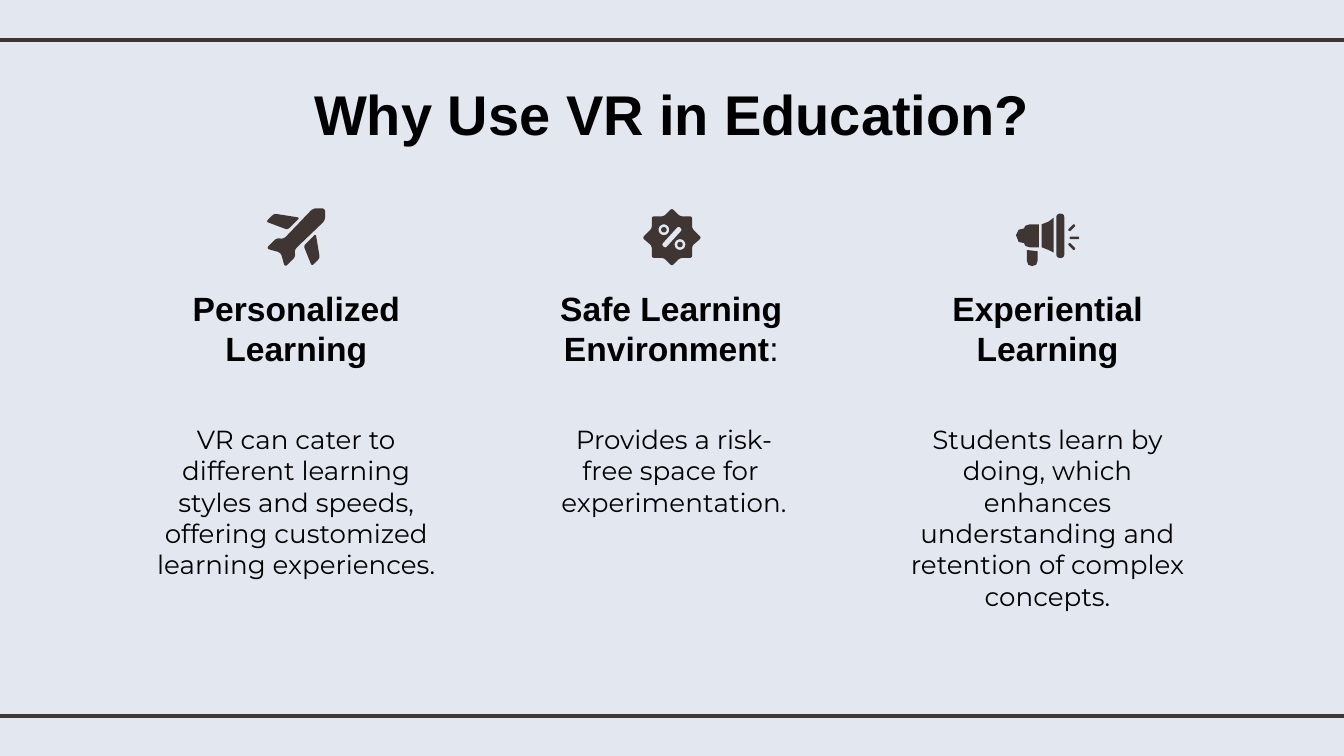
"""Build the slide on why to use VR in education."""
from dataclasses import dataclass
from math import cos, dist, hypot, pi, sin

from lxml.etree import SubElement
from pptx import Presentation
from pptx.dml.color import RGBColor
from pptx.enum.shapes import MSO_CONNECTOR as Connector
from pptx.enum.text import MSO_ANCHOR as Anchor, PP_ALIGN as Align
from pptx.oxml.ns import qn
from pptx.util import Inches, Pt

BACKGROUND, DARK, BLACK = "E3E7F0", "3F3533", "000000"
Point = tuple[float, float]
Contour = list[Point]


@dataclass
class TextStyle:
    font: str
    size: int
    bold: bool = False


@dataclass
class Benefit:
    heading: list[str]
    body: list[str]
    left: float
    heading_left: float
    heading_width: float = 2.33
    body_inset: float = 0.1


TITLE = TextStyle("Arial", 30, True)
HEADING = TextStyle("Arial", 18, True)
BODY = TextStyle("Montserrat", 14)

BENEFITS = [
    Benefit(["Personalized Learning"],
            ["VR can cater to different learning styles and speeds, "
             "offering customized learning experiences."], 1.04, 1.04),
    Benefit(["Safe Learning Environment", ":"],
            ["Provides a risk-", "free space for ", "experimentation."],
            3.79, 3.58, 2.83, 0.22),
    Benefit(["Experiential Learning"],
            ["Students learn by doing, which enhances understanding "
             "and retention of complex concepts."], 6.63, 6.63),
]


def color(value: str) -> RGBColor:
    return RGBColor.from_string(value)


def rounded(corners: Contour, radius: float) -> Contour:
    points = []
    for index, corner in enumerate(corners):
        ends = []
        for other in (corners[index - 1], corners[(index + 1) % len(corners)]):
            length = dist(corner, other)
            share = min(radius, length / 2) / length
            ends.append([a + (b - a) * share for a, b in zip(corner, other)])
        for step in range(7):
            t = step / 6
            points.append(tuple((1 - t) ** 2 * a + 2 * t * (1 - t) * c + t * t * b
                                for a, c, b in zip(ends[0], corner, ends[1])))
    return points


def circle(x: float, y: float, radius: float) -> Contour:
    angles = [pi * step / 16 for step in range(32)]
    return [(x + radius * cos(a), y + radius * sin(a)) for a in angles]


def capsule(start: Point, end: Point, radius: float = 0.01) -> Contour:
    (x1, y1), (x2, y2) = start, end
    dx, dy = x2 - x1, y2 - y1
    ux, uy = (radius * d / hypot(dx, dy) for d in (dx, dy))
    corners = [(x1 - ux - uy, y1 - uy + ux), (x1 - ux + uy, y1 - uy - ux),
               (x2 + ux + uy, y2 + uy - ux), (x2 + ux - uy, y2 + uy + ux)]
    return rounded(corners, radius)


PLANE = [
    [rounded([(2.33, 1.55), (2.42, 1.55), (2.42, 1.64), (2.19, 1.86), (2.2, 1.91),
              (2.12, 1.99), (2.09, 1.88), (1.98, 1.85), (2.06, 1.77), (2.11, 1.78)],
             0.03)],
    [rounded([(2.04, 1.59), (2.23, 1.62), (2.14, 1.71), (1.98, 1.65)], 0.02)],
    [rounded([(2.35, 1.74), (2.38, 1.92), (2.32, 1.98), (2.26, 1.83)], 0.02)],
]
BADGE = [
    [rounded([(5, 1.55), (5.06, 1.61), (5.15, 1.61), (5.15, 1.7), (5.22, 1.77),
              (5.15, 1.83), (5.15, 1.92), (5.06, 1.92), (5, 1.98), (4.94, 1.92),
              (4.85, 1.92), (4.85, 1.83), (4.78, 1.77), (4.85, 1.7), (4.85, 1.61),
              (4.94, 1.61)], 0.02),
     circle(4.94, 1.71, 0.04), circle(5.06, 1.82, 0.04),
     capsule((4.95, 1.82), (5.05, 1.71), 0.02)],
    [circle(4.94, 1.71, 0.02)],
    [circle(5.06, 1.82, 0.02)],
]
MEGAPHONE = [
    [capsule((7.97, 1.77), (8.02, 1.77))],
    [capsule((7.96, 1.82), (7.99, 1.85))],
    [capsule((7.96, 1.71), (7.99, 1.68))],
    [capsule((7.89, 1.62), (7.89, 1.89), 0.03)],
    [[(7.73, 1.67), (7.73, 1.84), (7.66, 1.84), (7.63, 1.83), (7.62, 1.81),
      (7.58, 1.8), (7.56, 1.75), (7.58, 1.71), (7.62, 1.7), (7.63, 1.68),
      (7.66, 1.67)]],
    [[(7.64, 1.86), (7.72, 1.87), (7.72, 1.94), (7.71, 1.97), (7.68, 1.98),
      (7.65, 1.97), (7.64, 1.94)]],
    [[(7.84, 1.62), (7.84, 1.88), (7.8, 1.86), (7.75, 1.84), (7.75, 1.67),
      (7.8, 1.65)]],
]


def add_outline(shapes, contours: list[Contour]) -> None:
    builder = None
    for contour in contours:
        points = [(Inches(x), Inches(y)) for x, y in contour]
        if builder is None:
            builder = shapes.build_freeform(*points[0], scale=1.0)
        else:
            builder.move_to(*points[0])
        builder.add_line_segments(points[1:], close=True)
    shape = builder.convert_to_shape()
    shape.shadow.inherit = False
    shape.fill.solid()
    shape.fill.fore_color.rgb = color(DARK)
    shape.line.fill.background()


def add_rule(page, y: float) -> None:
    rule = page.shapes.add_connector(Connector.STRAIGHT, Inches(-0.08), Inches(y),
                                     Inches(10.08), Inches(y))
    rule.line.color.rgb = color(DARK)
    rule.line.width = Pt(2.25)
    SubElement(rule._element.spPr, qn("a:effectLst"))


def add_text(page, at: tuple[float, float, float, float], lines: list[list[str]],
             style: TextStyle, left_inset: float = 0.1) -> None:
    frame = page.shapes.add_textbox(*map(Inches, at)).text_frame
    frame.word_wrap = True
    frame.vertical_anchor = Anchor.TOP
    frame.margin_left = Inches(left_inset)
    frame.margin_right = frame.margin_top = frame.margin_bottom = Inches(0.1)
    for index, spans in enumerate(lines):
        para = frame.add_paragraph() if index else frame.paragraphs[0]
        para.alignment = Align.CENTER
        para.font.name, para.font.size = style.font, Pt(style.size)
        para.font.color.rgb = color(BLACK)
        for order, text in enumerate(spans):
            span = para.add_run()
            span.text = text
            span.font.bold = style.bold and order == 0


def main() -> None:
    deck = Presentation()
    deck.slide_width = Inches(10)
    deck.slide_height = deck.slide_width * 9 // 16
    page = deck.slides.add_slide(deck.slide_layouts[6])
    page.background.fill.solid()
    page.background.fill.fore_color.rgb = color(BACKGROUND)
    for y in (0.3, 5.33):
        add_rule(page, y)
    add_text(page, (1.36, 0.49, 7.28, 0.63), [["Why Use VR in Education?"]], TITLE)
    for benefit in BENEFITS:
        add_text(page, (benefit.heading_left, 2.04, benefit.heading_width, 0.49),
                 [benefit.heading], HEADING)
        add_text(page, (benefit.left, 3.05, 2.33, 0.89),
                 [[line] for line in benefit.body], BODY, benefit.body_inset)
    for icon in (PLANE, BADGE, MEGAPHONE):
        group = page.shapes.add_group_shape()
        for contours in icon:
            add_outline(group.shapes, contours)
    deck.save("out.pptx")


if __name__ == "__main__":
    main()
